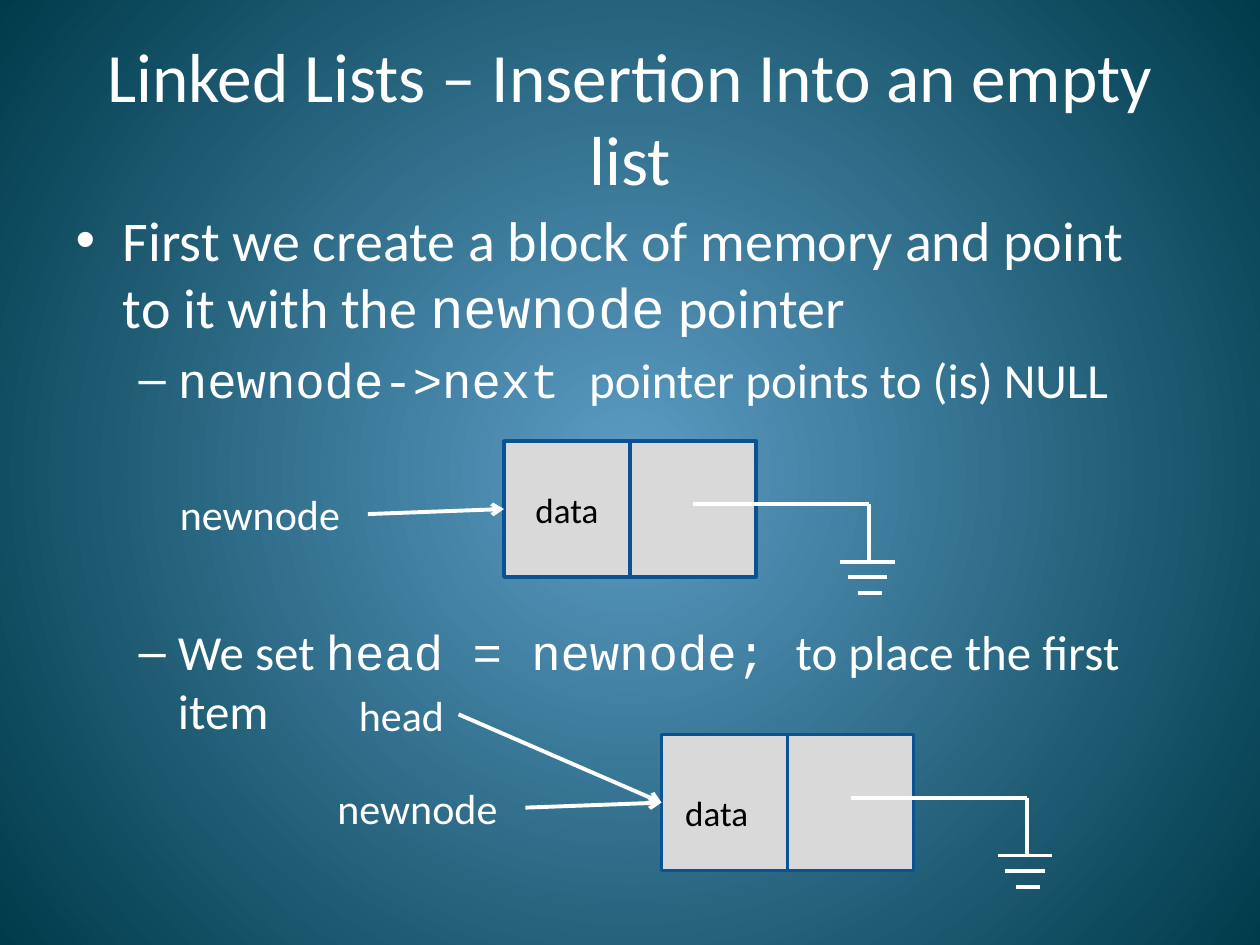
from lxml.etree import SubElement
from pptx import Presentation
from pptx.dml.color import RGBColor
from pptx.enum.shapes import MSO_CONNECTOR, MSO_SHAPE
from pptx.enum.text import MSO_ANCHOR, MSO_AUTO_SIZE, PP_ALIGN
from pptx.oxml.ns import qn
from pptx.util import Inches, Pt

COLORS = {"center": "5C9CC4", "edge": "003B4B", "text": "FFFFFF",
          "cell": "D9D9D9", "border": "0B5292", "data": "000000"}
BODY_FONT, CODE_FONT = "Calibri", "Courier New"

TITLE = "Linked Lists – Insertion Into an empty list"
BULLETS = [
    {"level": 0, "size": 32, "parts": [
        ("First we create a block of memory and point to it with the ", BODY_FONT),
        ("newnode", CODE_FONT), (" pointer", BODY_FONT)]},
    {"level": 1, "size": 28, "parts": [
        ("newnode->next ", CODE_FONT), ("pointer points to (is) NULL", BODY_FONT)]},
    {"level": 1, "size": 28, "gap": 122, "parts": [
        ("We set ", BODY_FONT), ("head = newnode; ", CODE_FONT),
        ("to place the first item", BODY_FONT)]},
]
CELL_W, CELL_H = 1, 1.08
DIAGRAMS = [
    {"origin": (4, 3.5), "cells": ["data", ""]},
    {"origin": (5.25, 5.83), "cells": ["", ""]},
]
GROUND_LINES = [
    ((1.5, 0.5), (2.9, 0.5)),
    ((2.9, 0.5), (2.9, 0.96)),
    ((2.67, 0.96), (3.1, 0.96)),
    ((2.73, 1.08), (3.04, 1.08)),
    ((2.81, 1.21), (3, 1.21)),
]
POINTER_START, POINTER_END = (-1.08, 0.58), (0, 0.54)
POINTER_LABEL = (-2.67, 0.33, 1.49, 0.5)
HEAD_LABEL = (2.75, 5.42, 0.89, 0.5)
DATA_LABEL = (5.34, 6.23, 0.83, 0.44)


def color(name):
    return RGBColor.from_string(COLORS[name])


def style(run, size, tone="text", font=BODY_FONT):
    run.font.name, run.font.size = font, Pt(size)
    run.font.color.rgb = color(tone)


def place(shape, left, top, width, height):
    shape.left, shape.top = Inches(left), Inches(top)
    shape.width, shape.height = Inches(width), Inches(height)


def shift(origin, point):
    return origin[0] + point[0], origin[1] + point[1]


def paint_background(slide):
    fill = slide.background.fill
    fill.gradient()
    for stop, tone in zip(fill.gradient_stops, ("center", "edge")):
        stop.color.rgb = color(tone)
    gradient = slide.element.find(".//" + qn("a:gradFill"))
    gradient.remove(gradient.find(qn("a:lin")))
    circle = SubElement(gradient, qn("a:path"), path="circle")
    SubElement(circle, qn("a:fillToRect"), l="50000", t="50000", r="50000", b="50000")


def add_line(shapes, start, end, arrow=False):
    line = shapes.add_connector(MSO_CONNECTOR.STRAIGHT, *map(Inches, start + end))
    line.line.color.rgb = color("text")
    line.line.width = Pt(2.25)
    properties = line.element.spPr
    if arrow:
        SubElement(properties.find(qn("a:ln")), qn("a:tailEnd"), type="arrow")
    SubElement(properties, qn("a:effectLst"))


def add_label(shapes, text, box, size=24, tone="text", wrap=False):
    frame = shapes.add_textbox(*map(Inches, box)).text_frame
    frame.word_wrap = wrap
    frame.auto_size = MSO_AUTO_SIZE.SHAPE_TO_FIT_TEXT
    frame.text = text
    style(frame.paragraphs[0].runs[0], size, tone)


def add_cell(shapes, text, left, top):
    cell = shapes.add_shape(MSO_SHAPE.RECTANGLE, *map(Inches, (left, top, CELL_W, CELL_H)))
    cell.shadow.inherit = False
    cell.fill.solid()
    cell.fill.fore_color.rgb = color("cell")
    cell.line.color.rgb = color("border")
    cell.line.width = Pt(2)
    if text:
        frame = cell.text_frame
        frame.text = text
        frame.vertical_anchor = MSO_ANCHOR.MIDDLE
        frame.paragraphs[0].alignment = PP_ALIGN.CENTER
        style(frame.paragraphs[0].runs[0], 20, "data")


def add_diagram(shapes, origin, cells):
    node = shapes.add_group_shape()
    for column, text in enumerate(cells):
        add_cell(node.shapes, text, origin[0] + column * CELL_W, origin[1])
    add_line(shapes, shift(origin, POINTER_START), shift(origin, POINTER_END), arrow=True)
    ground = shapes.add_group_shape()
    for start, end in GROUND_LINES:
        add_line(ground.shapes, shift(origin, start), shift(origin, end))
    add_label(shapes, "newnode", shift(origin, POINTER_LABEL) + POINTER_LABEL[2:])


def fill_title(title):
    place(title, 0.5, 0.3, 9, 1.25)
    frame = title.text_frame
    frame.text = TITLE
    frame.auto_size = MSO_AUTO_SIZE.NONE
    frame.vertical_anchor = MSO_ANCHOR.MIDDLE
    frame.paragraphs[0].alignment = PP_ALIGN.CENTER
    style(frame.paragraphs[0].runs[0], 39.6)


def fill_body(body):
    place(body, 0.5, 1.58, 9, 5.42)
    frame = body.text_frame
    frame.auto_size = MSO_AUTO_SIZE.NONE
    for index, bullet in enumerate(BULLETS):
        paragraph = frame.add_paragraph() if index else frame.paragraphs[0]
        paragraph.level = bullet["level"]
        if "gap" in bullet:
            paragraph.space_before = Pt(bullet["gap"])
        for text, font in bullet["parts"]:
            run = paragraph.add_run()
            run.text = text
            style(run, bullet["size"], font=font)


def main():
    deck = Presentation()
    deck.slide_width, deck.slide_height = Inches(10), Inches(7.5)
    slide = deck.slides.add_slide(deck.slide_layouts.get_by_name("Title and Content"))
    paint_background(slide)
    fill_title(slide.shapes.title)
    fill_body(slide.placeholders[1])
    for diagram in DIAGRAMS:
        add_diagram(slide.shapes, **diagram)
    add_label(slide.shapes, "head", HEAD_LABEL)
    head_start = (HEAD_LABEL[0] + HEAD_LABEL[2], HEAD_LABEL[1] + HEAD_LABEL[3] / 2)
    add_line(slide.shapes, head_start, shift(DIAGRAMS[1]["origin"], POINTER_END), arrow=True)
    add_label(slide.shapes, "data", DATA_LABEL, 20, "data", wrap=True)
    deck.save("out.pptx")


if __name__ == "__main__":
    main()
